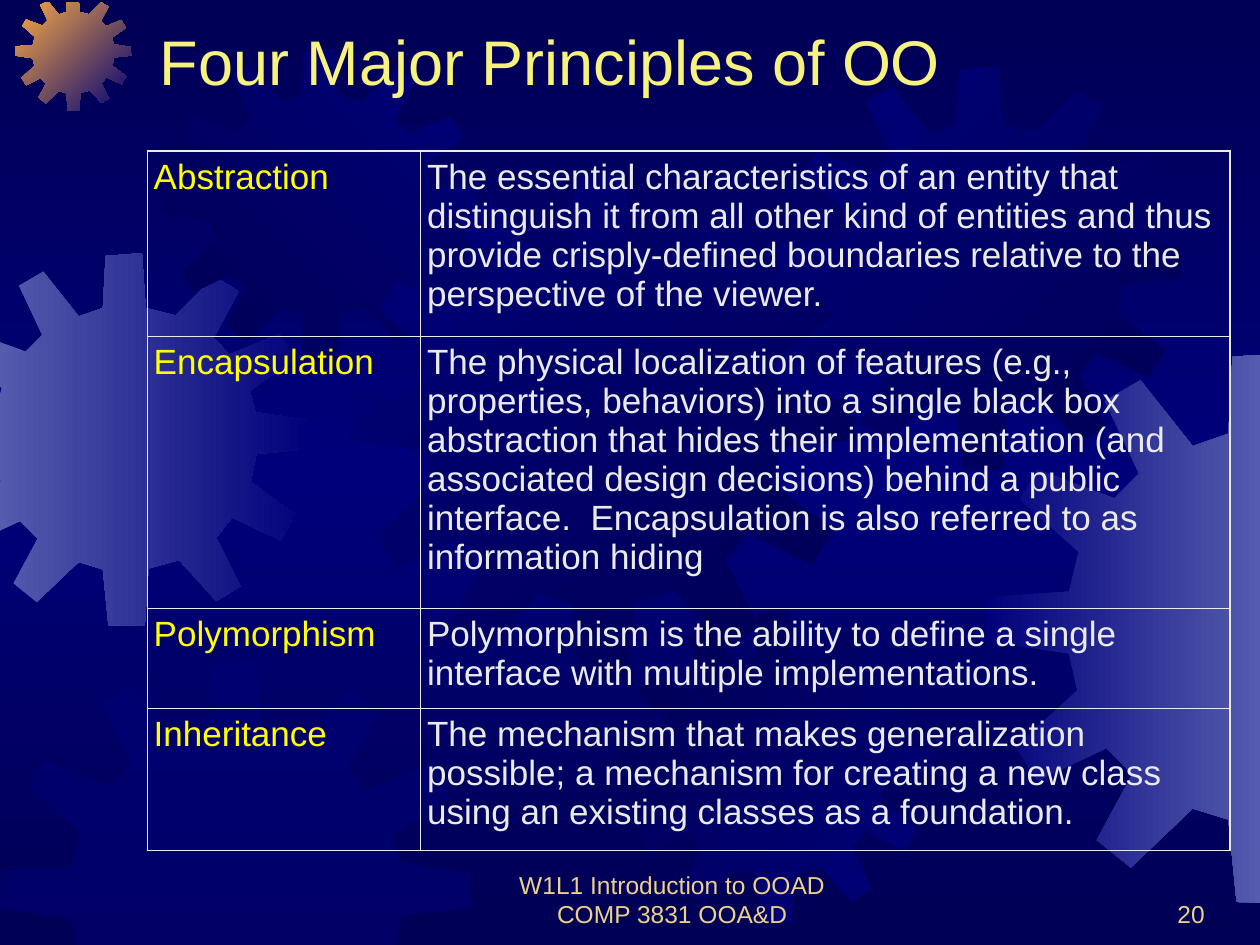
from copy import deepcopy

from lxml import etree
from pptx import Presentation
from pptx.dml.color import RGBColor
from pptx.enum.text import MSO_ANCHOR, PP_ALIGN
from pptx.oxml.ns import qn
from pptx.util import Inches, Pt

LEFT, CENTER, RIGHT = PP_ALIGN.LEFT, PP_ALIGN.CENTER, PP_ALIGN.RIGHT
TOP, BOTTOM = MSO_ANCHOR.TOP, MSO_ANCHOR.BOTTOM

COLORS = {
    "night": "000054",
    "navy": "00007A",
    "steel": "555BAD",
    "orange": "FCAB40",
    "title": "F7F17D",
    "term": "FFFF00",
    "body": "EAEAEA",
    "footer": "EBD189",
}

# Outline of a gear, in units of 1/401 of its width
GEAR_UNITS = 401
GEAR_OUTLINE = [
    (255, 67), (223, 59), (219, 0), (180, 3), (177, 59), (151, 68),
    (113, 20), (87, 35), (112, 88), (94, 106), (38, 85), (25, 107),
    (68, 145), (61, 174), (1, 178), (0, 210), (61, 219), (67, 246),
    (22, 287), (38, 312), (88, 288), (107, 307), (81, 355), (106, 375),
    (151, 332), (177, 340), (183, 400), (222, 401), (226, 339), (259, 330),
    (299, 374), (325, 358), (299, 306), (316, 284), (368, 309), (384, 281),
    (336, 246), (342, 216), (401, 210), (400, 180), (341, 171), (335, 148),
    (383, 114), (367, 87), (313, 109), (296, 91), (323, 41), (297, 25),
]
# Axis, limit and side that is kept (1 above the limit, -1 below it)
GEAR_LIMITS = [(0, -0.01, 1), (0, 10.01, -1), (1, 0.02, 1), (1, 7.54, -1)]


def gear_points(left, top, size):
    """Scale the gear outline and cut it off at the limits of the slide."""
    scale = size / GEAR_UNITS
    points = [(left + x * scale, top + y * scale) for x, y in GEAR_OUTLINE]
    for axis, limit, side in GEAR_LIMITS:
        kept = []
        for start, end in zip(points[-1:] + points[:-1], points):
            start_in = (start[axis] - limit) * side >= 0
            end_in = (end[axis] - limit) * side >= 0
            if start_in != end_in:
                t = (limit - start[axis]) / (end[axis] - start[axis])
                kept.append(tuple(a + t * (b - a) for a, b in zip(start, end)))
            if end_in:
                kept.append(end)
        points = kept
    return points


def write_text(frame, lines, size, color, align=LEFT, anchor=TOP):
    frame.word_wrap = True
    frame.vertical_anchor = anchor
    for i, line in enumerate(lines):
        paragraph = frame.paragraphs[0] if i == 0 else frame.add_paragraph()
        paragraph.alignment = align
        run = paragraph.add_run()
        run.text = line
        run.font.name = "Arial"
        run.font.size = Pt(size)
        run.font.color.rgb = RGBColor.from_string(COLORS[color])


prs = Presentation()
prs.slide_width, prs.slide_height = Inches(10), Inches(7.5)
slide = prs.slides.add_slide(prs.slide_layouts[6])

# Background: dark at top and bottom, lighter in the middle
background = slide.background.fill
background.gradient()
background.gradient_angle = 270
for stop, color in zip(background.gradient_stops, ("night", "navy")):
    stop.color.rgb = RGBColor.from_string(COLORS[color])
stop_list = next(slide.element.iter(qn("a:gsLst")))
stop_list[1].set("pos", "50000")
stop_list.append(deepcopy(stop_list[0]))
stop_list[2].set("pos", "100000")

# Gears: left, top, size, first colour, last colour, counter-clockwise angle
gears = [
    (-0.49, 2.01, 2.96, "steel", "navy", 0),
    (0.12, -0.04, 0.92, "orange", "navy", 315),
    (1.3, 0.39, 2.48, "night", "navy", 45),
    (2.77, 1.39, 4.01, "navy", "night", 315),
    (0, 5.25, 3.74, "navy", None, None),
    (4.91, 4.84, 2.48, "night", "navy", 315),
    (6.18, 0.53, 3.2, "navy", "night", 315),
    (7.82, 2.8, 4.37, "navy", "steel", 0),
]
for left, top, size, first, last, angle in gears:
    points = [(Inches(x), Inches(y)) for x, y in gear_points(left, top, size)]
    builder = slide.shapes.build_freeform(*points[0])
    builder.add_line_segments(points[1:], close=True)
    gear = builder.convert_to_shape()
    gear.shadow.inherit = False
    gear.line.fill.background()
    if last:
        gear.fill.gradient()
        gear.fill.gradient_angle = angle
        for stop, color in zip(gear.fill.gradient_stops, (first, last)):
            stop.color.rgb = RGBColor.from_string(COLORS[color])
    else:
        gear.fill.solid()
        gear.fill.fore_color.rgb = RGBColor.from_string(COLORS[first])
        rgb = gear.element.spPr.find(qn("a:solidFill"))[0]
        etree.SubElement(rgb, qn("a:alpha"), val="50000")

# Title
title = slide.shapes.add_textbox(Inches(1.17), Inches(0.13), Inches(8.5), Inches(0.7))
write_text(title.text_frame, ["Four Major Principles of OO"], 36, "title", anchor=BOTTOM)

# Table of principles
principles = [
    ("Abstraction", 1.47,
     "The essential characteristics of an entity that distinguish it from all "
     "other kind of entities and thus provide crisply-defined boundaries "
     "relative to the perspective of the viewer."),
    ("Encapsulation", 2.16,
     "The physical localization of features (e.g., properties, behaviors) into "
     "a single black box abstraction that hides their implementation (and "
     "associated design decisions) behind a public interface.  Encapsulation "
     "is also referred to as information hiding"),
    ("Polymorphism", 0.79,
     "Polymorphism is the ability to define a single interface with multiple "
     "implementations."),
    ("Inheritance", 1.13,
     "The mechanism that makes generalization possible; a mechanism for "
     "creating a new class using an existing classes as a foundation."),
]
table = slide.shapes.add_table(
    len(principles), 2, Inches(1.17), Inches(1.2), Inches(8.59), Inches(5.55)).table
table.first_row = table.horz_banding = False
table.columns[0].width, table.columns[1].width = Inches(2.17), Inches(6.42)
last_row = len(principles) - 1
for r, (term, height, meaning) in enumerate(principles):
    table.rows[r].height = Inches(height)
    for c, (text, color) in enumerate([(term, "term"), (meaning, "body")]):
        cell = table.cell(r, c)
        cell.margin_left = cell.margin_right = Inches(0.05)
        cell.margin_top = cell.margin_bottom = Inches(0.05)
        cell.fill.background()
        write_text(cell.text_frame, [text], 20, color)
        outer_sides = {"L": c == 0, "R": c == 1, "T": r == 0, "B": r == last_row}
        for i, (side, outer) in enumerate(outer_sides.items()):
            border = etree.Element(qn(f"a:ln{side}"), w=str(Pt(1.08 if outer else 0.45)))
            border_fill = etree.SubElement(border, qn("a:solidFill"))
            etree.SubElement(border_fill, qn("a:srgbClr"), val=COLORS["body"])
            cell._tc.get_or_add_tcPr().insert(i, border)

# Footer and slide number
footer = slide.shapes.add_textbox(Inches(3.83), Inches(6.92), Inches(3.17), Inches(0.5))
write_text(footer.text_frame, ["W1L1 Introduction to OOAD", "COMP 3831 OOA&D"],
           14, "footer", align=CENTER, anchor=BOTTOM)
course_line = footer.text_frame.paragraphs[0]
course_line._p.get_or_add_pPr().set("marR", str(Inches(0.16)))

number = slide.shapes.add_textbox(Inches(7.58), Inches(6.92), Inches(2.08), Inches(0.5))
write_text(number.text_frame, ["20"], 14, "footer", align=RIGHT, anchor=BOTTOM)

prs.save("out.pptx")
